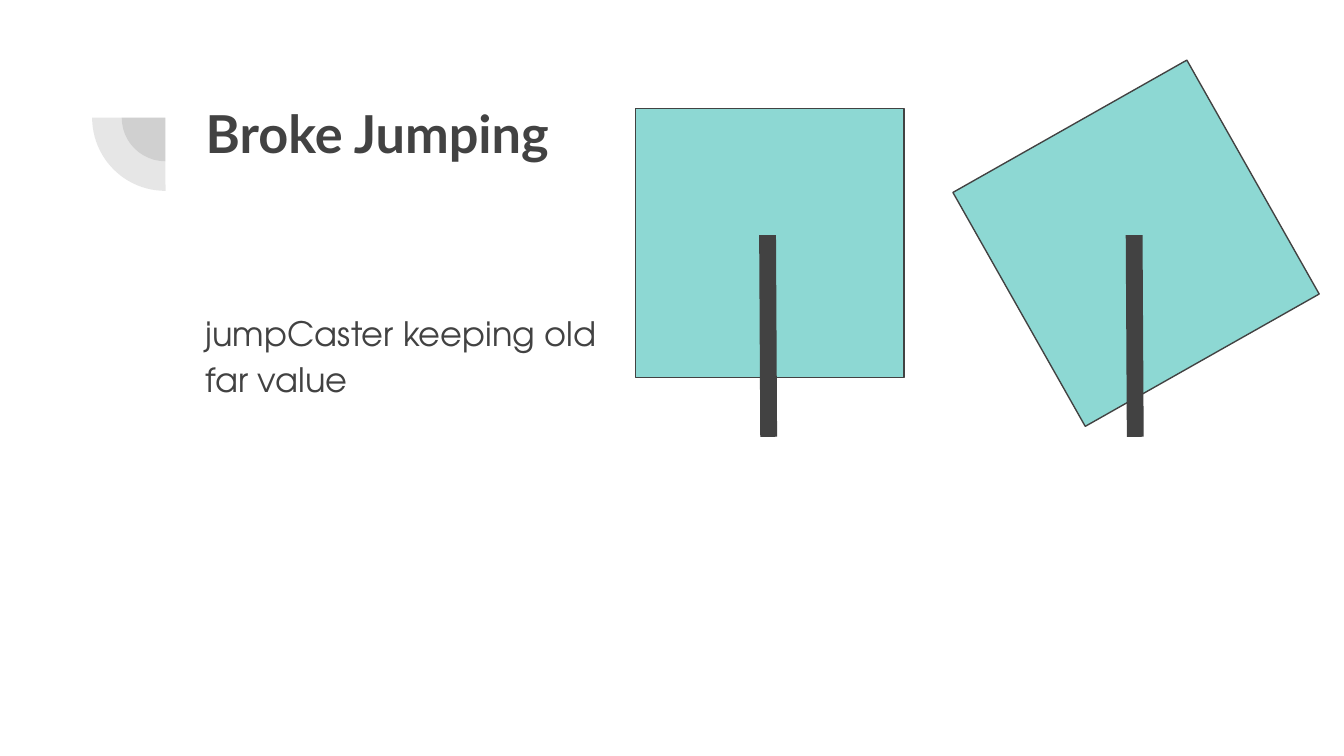
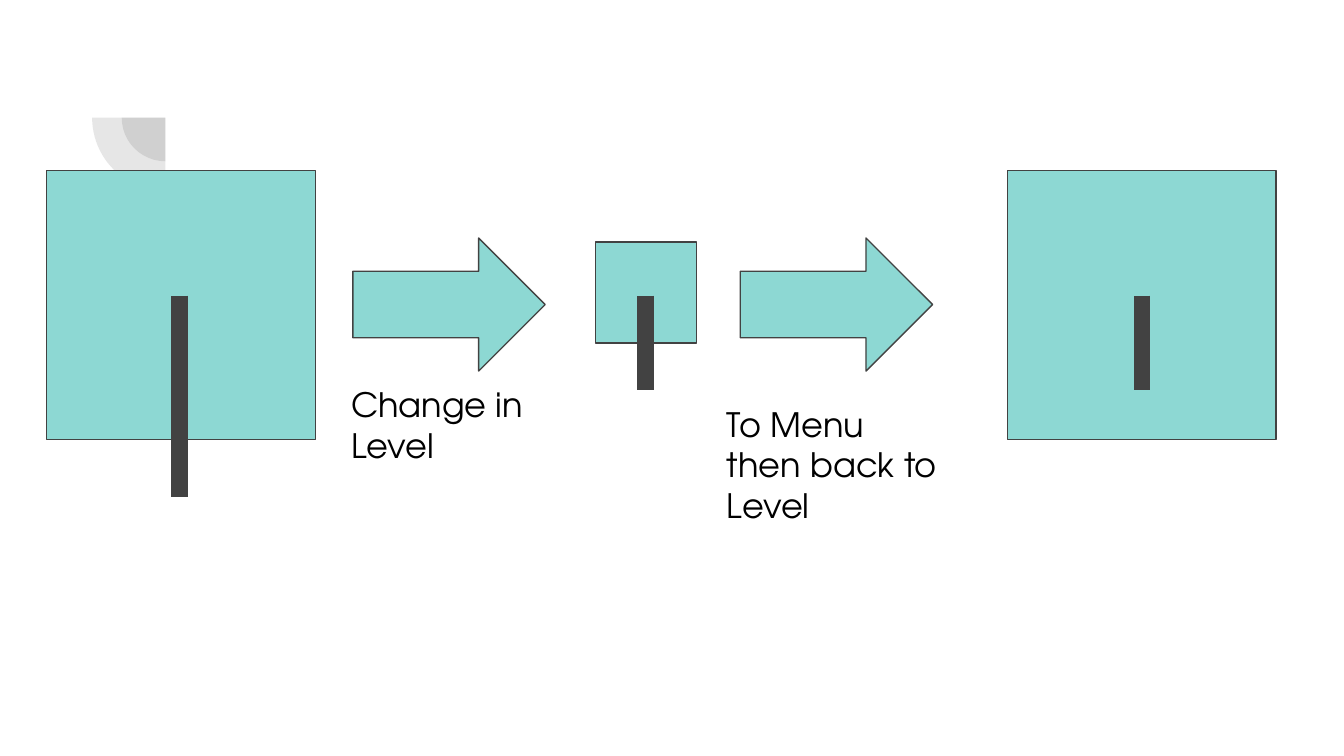
from lxml import etree
from pptx import Presentation
from pptx.dml.color import RGBColor
from pptx.enum.shapes import MSO_CONNECTOR, MSO_SHAPE
from pptx.enum.text import MSO_ANCHOR, PP_ALIGN
from pptx.oxml.ns import qn
from pptx.util import Pt

RECTANGLE, ARROW, PIE = MSO_SHAPE.RECTANGLE, MSO_SHAPE.RIGHT_ARROW, MSO_SHAPE.PIE
STRAIGHT = MSO_CONNECTOR.STRAIGHT
TOP, LEFT = MSO_ANCHOR.TOP, PP_ALIGN.LEFT

# Shared style
INK, TEAL, BLACK = "424242", "8DD8D3", "000000"
TITLE_FONT, TEXT_FONT = "Lato", "TeX Gyre Adventor"
INSET = 7.2
ORNAMENT_CENTER = (88.6, 63)
ORNAMENT_SIZES = (46.8, 78.5)
LEVEL, MENU = 144, 54  # sides of the player squares
ARROW_SIZE = (103, 71.3)

# Slide 1: squares are (left, top, side, rotation), casters (x1, y1, x2, y2)
TITLE = ("Broke Jumping", (103, 46.8, 553.7, 78.5))
NOTE = ("jumpCaster keeping old far value", (103, 157, 239, 200.2))
JUMP_SQUARES = [(340.4, 58.3, LEVEL, 0), (536.6, 58.3, LEVEL, 330.5)]
JUMP_CASTERS = [(411.2, 126, 411.8, 234), (607.6, 126, 608.2, 234)]

# Slide 2: each stage is (square left, square top, side, caster x, caster bottom)
CASTER_TOP = 158.4
STAGES = [
    (25.1, 91.4, LEVEL, 96.3, 266.4),
    (319, 129.7, MENU, 345.8, 209.2),
    (539.7, 91.4, LEVEL, 611.8, 209.2),
]
ARROW_TOP = 127.5
ARROW_LEFTS = (189.1, 396.6)
CAPTIONS = [
    ("Change in Level", (181, 198.7, 131, 50.4)),
    ("To Menu then back to Level", (382.3, 209.2, 131, 50.4)),
]


def color(value):
    return RGBColor.from_string(value)


def add_figure(slide, kind, box, fill=TEAL, rotation=0):
    figure = slide.shapes.add_shape(kind, *map(Pt, box))
    figure.shadow.inherit = False
    figure.rotation = rotation
    figure.fill.solid()
    figure.fill.fore_color.rgb = color(fill)
    figure.line.color.rgb = color(INK)
    figure.line.width = Pt(0.75)
    return figure


def add_caster(slide, x1, y1, x2, y2):
    caster = slide.shapes.add_connector(STRAIGHT, *map(Pt, (x1, y1, x2, y2)))
    caster.line.color.rgb = color(INK)
    caster.line.width = Pt(9)
    etree.SubElement(caster._element.spPr, qn("a:effectLst"))


def write(holder, text, box, font=TEXT_FONT, size=18, ink=INK, bold=False):
    holder.left, holder.top, holder.width, holder.height = map(Pt, box)
    frame = holder.text_frame
    frame.word_wrap = True
    frame.vertical_anchor = TOP
    frame.margin_left = frame.margin_right = Pt(INSET)
    frame.margin_top = frame.margin_bottom = Pt(INSET)
    frame.text = text
    paragraph = frame.paragraphs[0]
    paragraph.alignment = LEFT
    paragraph.font.name = font
    paragraph.font.size = Pt(size)
    paragraph.font.bold = bold
    paragraph.font.color.rgb = color(ink)
    return paragraph


def add_text(slide, text, box, **style):
    return write(slide.shapes.add_textbox(*map(Pt, box)), text, box, **style)


def add_ornament(slide):
    """Two translucent quarter discs around one center."""
    x, y = ORNAMENT_CENTER
    for size in ORNAMENT_SIZES:
        box = (x - size / 2, y - size / 2, size, size)
        disc = add_figure(slide, PIE, box, INK, 270)
        disc.adjustments[0], disc.adjustments[1] = 107.928, 162
        disc.line.fill.background()
        tint = disc._element.spPr.find(qn("a:solidFill"))[0]
        etree.SubElement(tint, qn("a:alpha"), val="13000")


def build_jumping(slide):
    add_ornament(slide)
    write(slide.shapes.title, *TITLE, font=TITLE_FONT, size=28, bold=True)
    note = add_text(slide, *NOTE)
    note.line_spacing = 1.15
    note.space_after = Pt(16)
    for (left, top, side, rotation), caster in zip(JUMP_SQUARES, JUMP_CASTERS):
        add_figure(slide, RECTANGLE, (left, top, side, side), rotation=rotation)
        add_caster(slide, *caster)


def build_level_change(slide):
    add_ornament(slide)
    for left, top, side, x, bottom in STAGES:
        add_figure(slide, RECTANGLE, (left, top, side, side))
        add_caster(slide, x, CASTER_TOP, x, bottom)
    for left in ARROW_LEFTS:
        add_figure(slide, ARROW, (left, ARROW_TOP, *ARROW_SIZE))
    for text, box in CAPTIONS:
        add_text(slide, text, box, ink=BLACK)


def main():
    deck = Presentation()
    deck.slide_width, deck.slide_height = Pt(720), Pt(405)
    title_only, blank = deck.slide_layouts[5], deck.slide_layouts[6]
    build_jumping(deck.slides.add_slide(title_only))
    build_level_change(deck.slides.add_slide(blank))
    deck.save("out.pptx")


if __name__ == "__main__":
    main()
